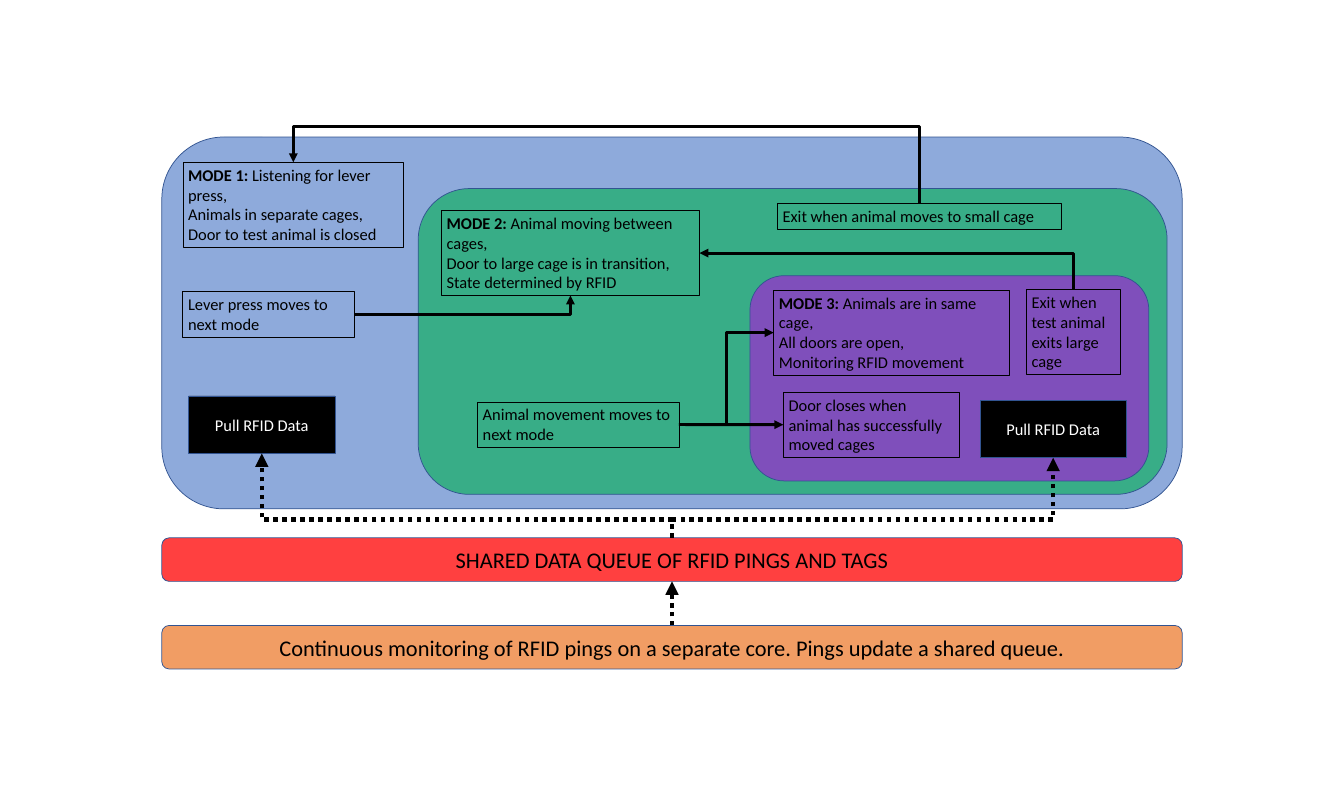
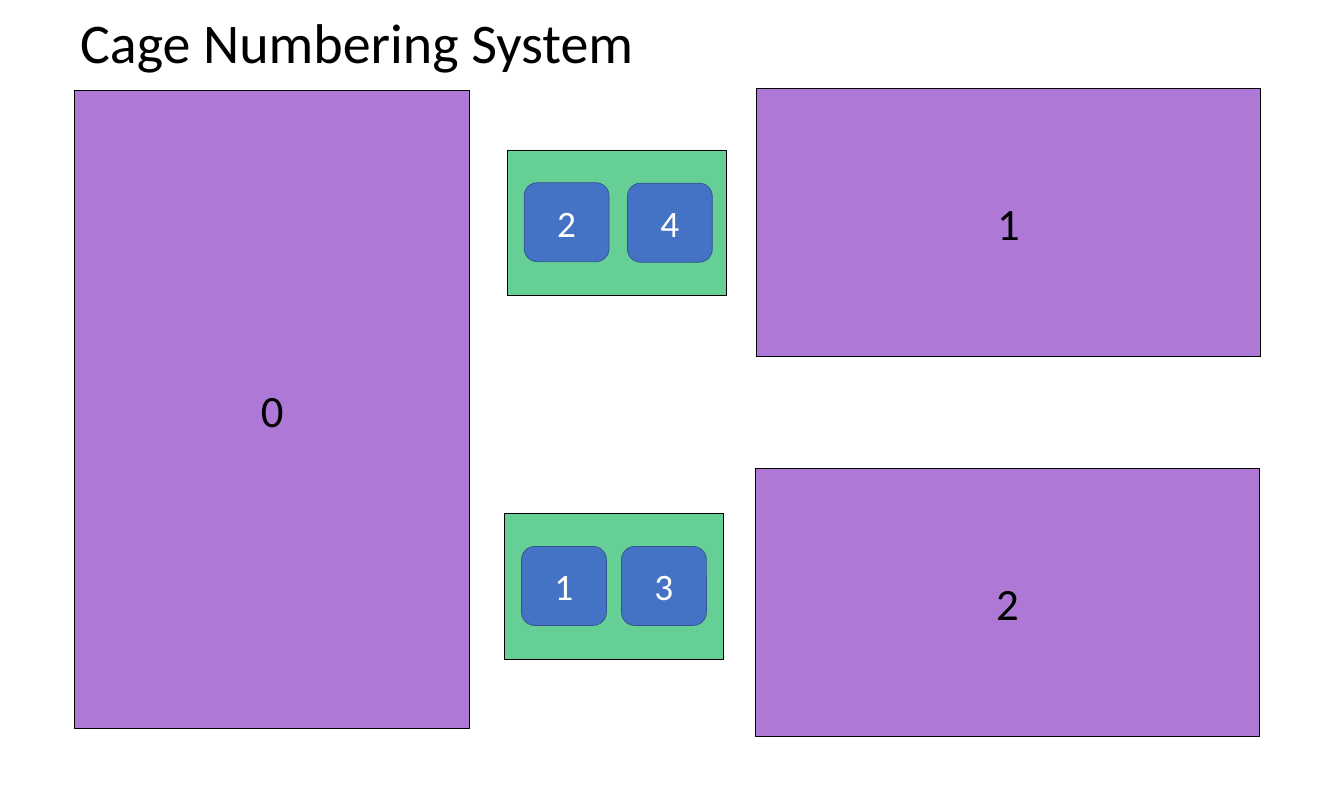
"""Builds two slides: the RFID mode flow and the cage numbering system."""
from dataclasses import dataclass
from typing import Optional

from lxml import etree
from pptx import Presentation
from pptx import util as u
from pptx.dml.color import RGBColor
from pptx.enum import dml, shapes, text
from pptx.oxml.ns import qn

COLUMNS, ROWS = 25, 15
CELL = u.Inches(1)
FONT = "Calibri"
BLACK = RGBColor(0, 0, 0)
WHITE = RGBColor(255, 255, 255)
BLUE = RGBColor(0x44, 0x72, 0xC4)
NAVY = RGBColor(0x32, 0x54, 0x91)
GREEN = RGBColor(0x00, 0xB0, 0x50)
PURPLE = RGBColor(0x8C, 0x3F, 0xC5)
RED = RGBColor(255, 0, 0)
ORANGE = RGBColor(0xED, 0x7D, 0x31)

RECT = shapes.MSO_SHAPE.RECTANGLE
ROUND = shapes.MSO_SHAPE.ROUNDED_RECTANGLE
TOP, LEFT, BOTTOM, RIGHT = range(4)
SIDE_POINTS = ((0.5, 0), (0, 0.5), (0.5, 1), (1, 0.5))


@dataclass(frozen=True)
class Box:
    col: float
    row: float
    cols: float
    rows: float
    lines: tuple[str, ...] = ()
    lead: str = ""
    kind: int = RECT
    fill: Optional[RGBColor] = None
    opacity: int = 100
    edge: RGBColor = NAVY
    edge_width: float = 1
    size: float = 22
    color: RGBColor = BLACK
    grow: bool = False


@dataclass(frozen=True)
class Link:
    start: str
    start_side: int
    end: str
    end_side: int
    bend: Optional[float] = None
    dotted: bool = False
    straight: bool = False


def frame(col, row, cols, rows, fill, opacity) -> Box:
    return Box(col, row, cols, rows, kind=ROUND, fill=fill, opacity=opacity)


def band(row: float, caption: str, fill: RGBColor) -> Box:
    return Box(3.01, row, 18.98, 0.81, (caption,), kind=ROUND, fill=fill, opacity=75, size=30)


def note(col, row, cols, rows, *lines: str, lead: str = "") -> Box:
    return Box(col, row, cols, rows, lines, lead, edge=BLACK, edge_width=0.75, grow=True)


def pull(col: float, row: float) -> Box:
    return Box(col, row, 2.72, 1.07, ("Pull RFID Data",), fill=BLACK, color=WHITE)


def cage(col, row, cols, rows, number: str) -> Box:
    return Box(col, row, cols, rows, (number,), fill=PURPLE, opacity=70, edge=BLACK, size=60)


def rack(col: float, row: float) -> Box:
    return Box(col, row, 4.07, 2.71, fill=GREEN, opacity=60, edge=BLACK)


def reader(col: float, row: float, number: str) -> Box:
    return Box(col, row, 1.58, 1.47, (number,), kind=ROUND, fill=BLUE, size=50, color=WHITE)


FLOW = {
    "mode 1 area": frame(3.01, 2.55, 18.98, 6.92, BLUE, 60),
    "mode 1": note(3.4, 3.02, 4.11, 1.58, "Listening for lever press,",
                   "Animals in separate cages,", "Door to test animal is closed",
                   lead="MODE 1: "),
    "monitoring": band(11.64, "Continuous monitoring of RFID pings on a separate core. "
                              "Pings update a shared queue.", ORANGE),
    "mode 2 area": frame(7.78, 3.51, 13.93, 5.69, GREEN, 60),
    "mode 2": note(8.21, 3.92, 4.8, 1.58, "Animal moving between cages,",
                   "Door to large cage is in transition,", "State determined by RFID",
                   lead="MODE 2: "),
    "queue": band(10.01, "SHARED DATA QUEUE OF RFID PINGS AND TAGS", RED),
    "lever press": note(3.4, 5.43, 3.2, 0.84, "Lever press moves to next mode"),
    "mode 3 area": frame(13.95, 5.13, 7.42, 3.82, PURPLE, 85),
    "mode 3": note(14.39, 5.4, 4.38, 1.58, "Animals are in same cage,",
                   "All doors are open,", "Monitoring RFID movement", lead="MODE 3: "),
    "door closes": note(14.57, 7.3, 3.27, 1.21,
                        "Door closes when animal has successfully moved cages"),
    "pull left": pull(3.51, 7.37),
    "pull right": pull(18.23, 7.45),
    "exit large": note(19.09, 5.39, 1.74, 1.58, "Exit when test animal exits large cage"),
    "exit small": note(14.46, 3.79, 5.28, 0.47, "Exit when animal moves to small cage"),
    "movement": note(8.88, 7.48, 3.75, 0.84, "Animal movement moves to next mode"),
}

LINKS = (
    Link("monitoring", TOP, "queue", BOTTOM, dotted=True, straight=True),
    Link("queue", TOP, "pull left", BOTTOM, bend=0.22, dotted=True),
    Link("queue", TOP, "pull right", BOTTOM, bend=0.23, dotted=True),
    Link("lever press", RIGHT, "mode 2", BOTTOM),
    Link("movement", RIGHT, "door closes", LEFT, straight=True),
    Link("exit large", TOP, "mode 2", RIGHT),
    Link("exit small", TOP, "mode 1", TOP, bend=1.87),
    Link("movement", RIGHT, "mode 3", LEFT, bend=0.5),
)

CAGES = (
    cage(1.39, 1.68, 7.35, 11.88, "0"),
    rack(9.44, 2.79), reader(9.75, 3.4, "2"), reader(11.67, 3.41, "4"),
    rack(9.39, 9.56), reader(9.7, 10.17, "1"), reader(11.56, 10.17, "3"),
    cage(14.05, 8.71, 9.38, 4.99, "2"),
    cage(14.07, 1.65, 9.38, 4.99, "1"),
)


def grid(*lengths: float) -> list[int]:
    """Turn columns or rows into slide units."""
    return [round(length * CELL) for length in lengths]


def write(holder, lines, *, lead="", size=22.0, color=BLACK, grow=False,
          align=text.PP_ALIGN.LEFT, anchor=text.MSO_ANCHOR.TOP) -> None:
    """Fill a shape with paragraphs, the first with an optional bold lead."""
    body = holder.text_frame
    body.word_wrap = True
    body.vertical_anchor = anchor
    body.auto_size = text.MSO_AUTO_SIZE.SHAPE_TO_FIT_TEXT if grow else text.MSO_AUTO_SIZE.NONE
    for index, line in enumerate(lines):
        paragraph = body.add_paragraph() if index else body.paragraphs[0]
        paragraph.alignment = align
        pieces = [(lead, True)] if lead and not index else []
        for words, bold in pieces + [(line, False)]:
            run = paragraph.add_run()
            run.text = words
            run.font.name, run.font.size, run.font.bold = FONT, u.Pt(size), bold
            run.font.color.rgb = color


def draw_box(slide, box: Box):
    """Draw one box with its text."""
    shape = slide.shapes.add_shape(box.kind, *grid(box.col, box.row, box.cols, box.rows))
    shape.shadow.inherit = False
    if box.fill is None:
        shape.fill.background()
    else:
        shape.fill.solid()
        shape.fill.fore_color.rgb = box.fill
        if box.opacity < 100:
            tint = shape.element.spPr.find(f".//{qn('a:srgbClr')}")
            etree.SubElement(tint, qn("a:alpha"), val=str(box.opacity * 1000))
    shape.line.color.rgb = box.edge
    shape.line.width = u.Pt(box.edge_width)
    align, anchor = ((text.PP_ALIGN.LEFT, text.MSO_ANCHOR.TOP) if box.grow
                     else (text.PP_ALIGN.CENTER, text.MSO_ANCHOR.MIDDLE))
    write(shape, box.lines, lead=box.lead, size=box.size, color=box.color,
          grow=box.grow, align=align, anchor=anchor)
    return shape


def side_point(box: Box, side: int) -> tuple[float, float]:
    """Return the middle of one side of a box."""
    across, down = SIDE_POINTS[side]
    return box.col + across * box.cols, box.row + down * box.rows


def bend_elbow(connector, link: Link) -> None:
    """Turn and flip an elbow so that it leaves its start side squarely."""
    x1, y1 = side_point(FLOW[link.start], link.start_side)
    x2, y2 = side_point(FLOW[link.end], link.end_side)
    dx, dy = x2 - x1, y2 - y1
    upright = link.start_side in (TOP, BOTTOM)
    along, aside = (abs(dy), abs(dx)) if upright else (abs(dx), abs(dy))
    connector.left, connector.top, connector.width, connector.height = grid(
        (x1 + x2 - along) / 2, (y1 + y2 - aside) / 2, along, aside)

    xfrm = connector.element.spPr.find(qn("a:xfrm"))
    turn = (270 if dy < 0 else 90) if upright else 0
    flip_v = (dx < 0) == (dy < 0) if upright else dy < 0
    xfrm.set("rot", str(turn * 60000))
    xfrm.set("flipH", str(int(not upright and dx < 0)))
    xfrm.set("flipV", str(int(flip_v)))

    outline = connector.element.spPr.find(qn("a:prstGeom"))
    if link.bend is None:
        outline.set("prst", "bentConnector2")
    else:
        etree.SubElement(outline.find(qn("a:avLst")), qn("a:gd"),
                         name="adj1", fmla=f"val {round(link.bend * 100000)}")


def draw_link(slide, link: Link, drawn: dict) -> None:
    """Join two boxes with an arrow."""
    kind = shapes.MSO_CONNECTOR.STRAIGHT if link.straight else shapes.MSO_CONNECTOR.ELBOW
    ends = (side_point(FLOW[link.start], link.start_side)
            + side_point(FLOW[link.end], link.end_side))
    connector = slide.shapes.add_connector(kind, *grid(*ends))
    connector.begin_connect(drawn[link.start], link.start_side)
    connector.end_connect(drawn[link.end], link.end_side)
    if not link.straight:
        bend_elbow(connector, link)
    connector.line.color.rgb = BLACK
    connector.line.width = u.Pt(6 if link.dotted else 4)
    if link.dotted:
        connector.line.dash_style = dml.MSO_LINE.ROUND_DOT
    properties = connector.element.spPr
    etree.SubElement(properties.find(qn("a:ln")), qn("a:tailEnd"), type="triangle")
    etree.SubElement(properties, qn("a:effectLst"))


def build_flow(deck) -> None:
    """Draw the slide with the three modes."""
    slide = deck.slides.add_slide(deck.slide_layouts[6])
    drawn = {name: draw_box(slide, box) for name, box in FLOW.items()}
    for link in LINKS:
        draw_link(slide, link, drawn)


def build_cages(deck) -> None:
    """Draw the slide with the numbered cages."""
    slide = deck.slides.add_slide(deck.slide_layouts[5])
    title = slide.shapes.title
    title.left, title.top, title.width, title.height = grid(1.39, 0.09, 21.26, 1.36)
    write(title, ("Cage Numbering System",), size=75, grow=True)
    for box in CAGES:
        draw_box(slide, box)


def main() -> None:
    """Build and save the presentation."""
    deck = Presentation()
    deck.slide_width, deck.slide_height = grid(COLUMNS, ROWS)
    build_flow(deck)
    build_cages(deck)
    deck.save("out.pptx")


if __name__ == "__main__":
    main()
